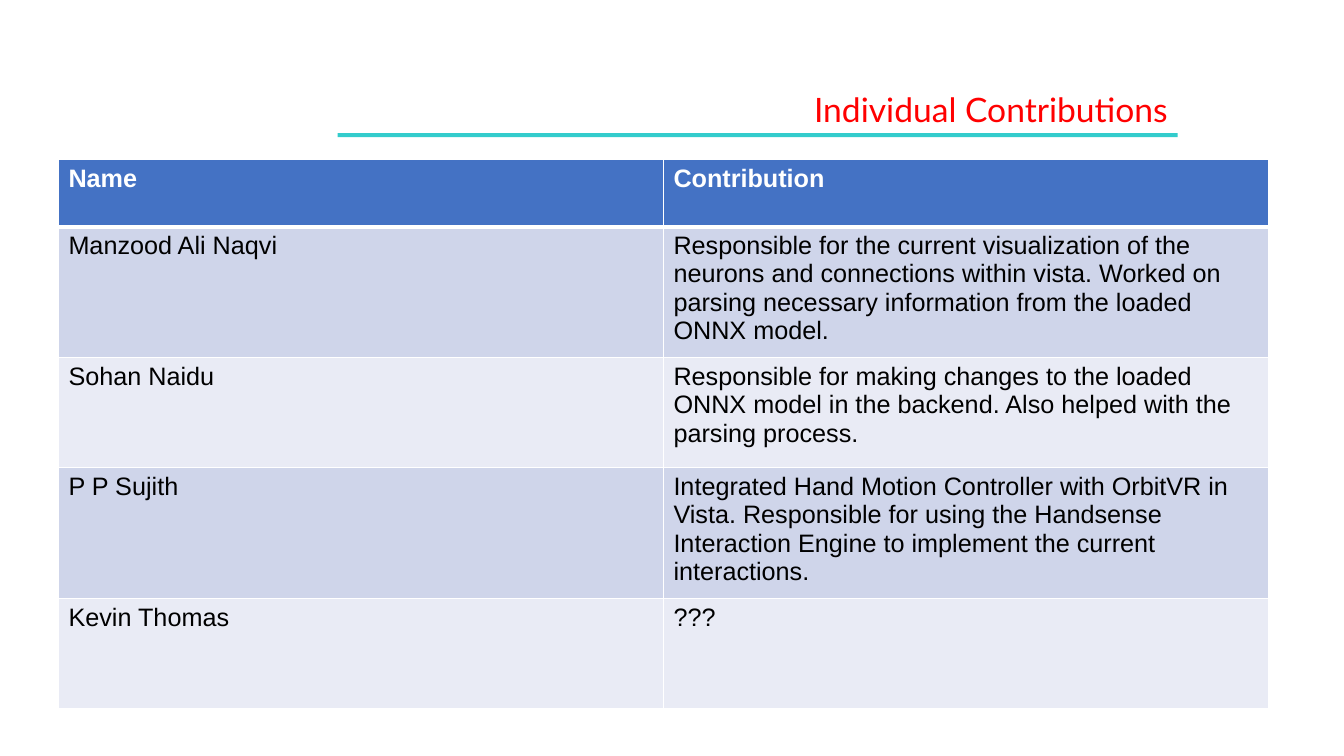
from pptx import Presentation
from pptx.dml.color import RGBColor
from pptx.enum.shapes import MSO_SHAPE as SHAPE
from pptx.enum.text import MSO_AUTO_SIZE as AUTO, PP_ALIGN as ALIGN
from pptx.oxml import parse_xml
from pptx.oxml.ns import nsdecls
from pptx.util import Inches, Pt

WHITE, BLACK, RED, TEAL = "FFFFFF", "000000", "FF0000", "33CCCC"
HEADER, BANDS = "4472C4", ("CFD5EA", "E9EBF5")
ROWS = [
    ("Name", "Contribution"),
    ("Manzood Ali Naqvi ",
     "Responsible for the current visualization of the neurons and connections "
     "within vista. Worked on parsing necessary information from the loaded "
     "ONNX model."),
    ("Sohan Naidu",
     "Responsible for making changes to the loaded ONNX model in the backend. "
     "Also helped with the parsing process."),
    ("P P Sujith",
     "Integrated Hand Motion Controller with OrbitVR in Vista. Responsible for "
     "using the Handsense Interaction Engine to implement the current "
     "interactions."),
    ("Kevin Thomas", "???"),
]


def rgb(value):
    """Return the colour for a hex string."""
    return RGBColor.from_string(value)


def paint(sp, color):
    """Fill a shape or cell with a solid colour."""
    sp.fill.solid()
    sp.fill.fore_color.rgb = rgb(color)


def add_run(p, text, font, size, color, bold=False):
    """Add a formatted run to a paragraph."""
    r = p.add_run()
    r.text = text
    r.font.name = font
    r.font.size = Pt(size)
    r.font.bold = bold
    r.font.color.rgb = rgb(color)


def add_rule(slide, x, y, w, h):
    """Draw the coloured bar under the title."""
    sp = slide.shapes.add_shape(SHAPE.RECTANGLE, Inches(x), Inches(y), Inches(w), Inches(h))
    sp.shadow.inherit = False
    sp.line.fill.background()
    paint(sp, TEAL)


def add_title(slide, text, x, y, w, h):
    """Add the right-aligned title."""
    sp = slide.shapes.add_textbox(Inches(x), Inches(y), Inches(w), Inches(h))
    tf = sp.text_frame
    tf.word_wrap = True
    tf.auto_size = AUTO.SHAPE_TO_FIT_TEXT
    p = tf.paragraphs[0]
    p.alignment = ALIGN.RIGHT
    add_run(p, text, "Lato", 24, RED)


def set_borders(cell, top, bottom):
    """Give a cell white borders with the given top and bottom widths."""
    tc_pr = cell._tc.get_or_add_tcPr()
    for side, width in zip("LRTB", (1, 1, top, bottom)):
        tc_pr.append(parse_xml(
            f'<a:ln{side} {nsdecls("a")} w="{Pt(width)}"><a:solidFill>'
            f'<a:srgbClr val="{WHITE}"/></a:solidFill></a:ln{side}>'))


def add_contributions(slide, x, y, w, heights):
    """Add the table of names and contributions."""
    frame = slide.shapes.add_table(len(ROWS), len(ROWS[0]), Inches(x), Inches(y),
                                   Inches(w), Inches(sum(heights)))
    table = frame.table
    for i, (height, texts) in enumerate(zip(heights, ROWS)):
        table.rows[i].height = Inches(height)
        head = i == 0
        for j, text in enumerate(texts):
            cell = table.cell(i, j)
            set_borders(cell, 3 if i == 1 else 1, 3 if head else 1)
            paint(cell, HEADER if head else BANDS[(i - 1) % 2])
            add_run(cell.text_frame.paragraphs[0], text, "Arial", 18,
                    WHITE if head else BLACK, head)


def main():
    """Build and save the slide."""
    prs = Presentation()
    prs.slide_width, prs.slide_height = Inches(13.33), Inches(7.5)
    s = prs.slides.add_slide(prs.slide_layouts[6])
    add_rule(s, 3.35, 1.32, 8.33, 0.04)
    add_title(s, "Individual Contributions", 7.01, 0.83, 4.67, 0.5)
    add_contributions(s, 0.58, 1.58, 12, [0.67] + [1.09] * 4)
    prs.save("out.pptx")


main()
